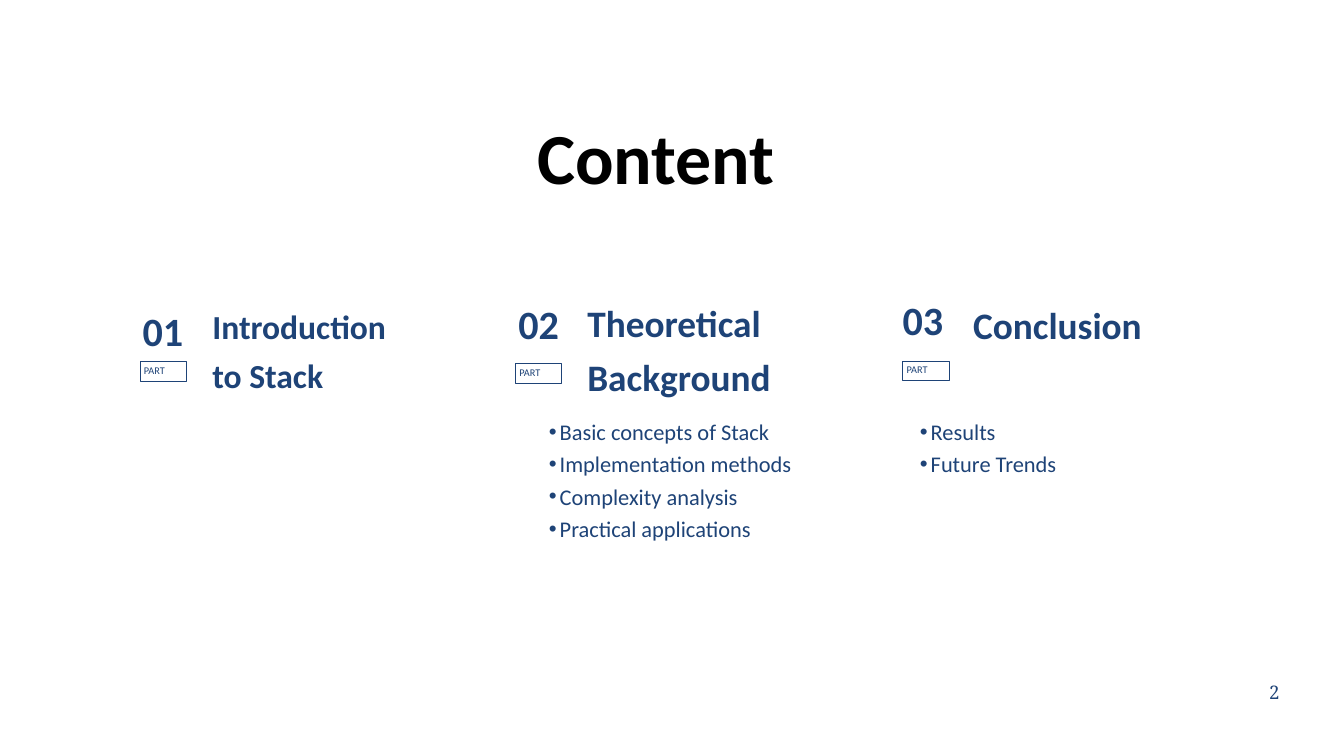
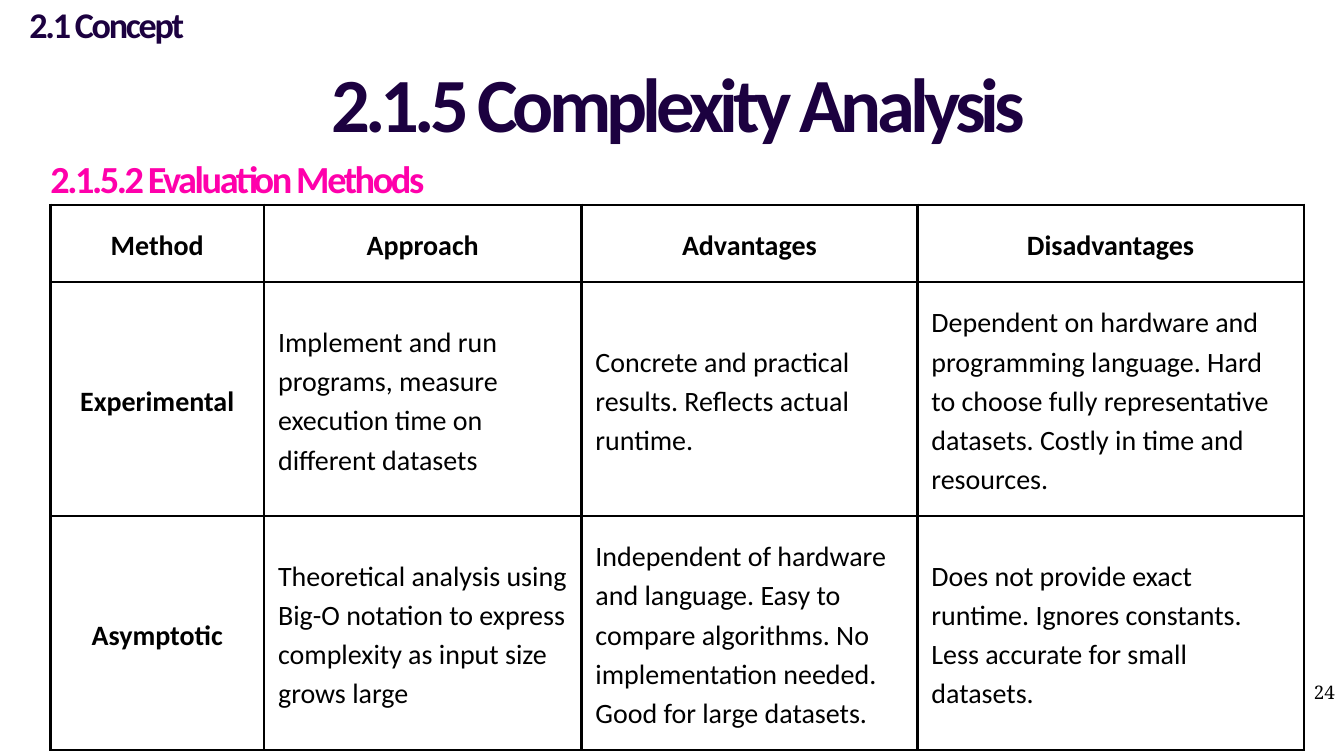
"""Builds the contents slide and the evaluation methods slide of the Stack deck."""
from lxml import etree
from pptx import Presentation, util as u
from pptx.dml.color import RGBColor
from pptx.enum import shapes, text
from pptx.oxml.ns import qn

HUE = {"navy": "1E4377", "ink": "1C0140", "pink": "FF00AB", "black": "000000"}
LEFT, MID, JUST = text.PP_ALIGN.LEFT, text.PP_ALIGN.CENTER, text.PP_ALIGN.JUSTIFY


def write(frame, words, size, hue, lead, align=LEFT, bold=False, face="Calibri", track=0, dots=False):
    frame.word_wrap = True
    frame.text = words
    for para in frame.paragraphs:
        para.alignment = align
        para.line_spacing = u.Pt(lead)
        if dots:
            para.level = 1
            props = para._p.get_or_add_pPr()
            props.set("marL", str(u.Pt(23)))
            props.set("indent", str(u.Pt(-11.5)))
            etree.SubElement(props, qn("a:buFont")).set("typeface", "Arial")
            etree.SubElement(props, qn("a:buChar")).set("char", "•")
        for run in para.runs:
            run.font.size = u.Pt(size)
            run.font.name = face
            run.font.bold = bold
            run.font.color.rgb = RGBColor.from_string(HUE[hue])
            if track:
                run._r.get_or_add_rPr().set("spc", str(round(track * 100)))


def label(slide, place, words, size, hue, lead, **style):
    frame = slide.shapes.add_textbox(*map(u.Pt, place)).text_frame
    frame.margin_left = frame.margin_right = frame.margin_top = frame.margin_bottom = 0
    write(frame, words, size, hue, lead, **style)
    return frame


deck = Presentation()
deck.slide_width, deck.slide_height = u.Pt(1440), u.Pt(810)
blank = deck.slide_layouts[6]

menu = deck.slides.add_slide(blank)
title = label(menu, (311.8, 5.8, 782, 306.7), "Content", 77, "black", 107.8, align=MID, bold=True)
title.vertical_anchor = text.MSO_ANCHOR.MIDDLE

parts = [
    ("01", (118.8, 328.3), (149.8, 387.4),
     "Introduction to Stack", (227.5, 319.7, 206, 105.8), 36, 51.8),
    ("02", (521.3, 320.4), (552.2, 389.5),
     "Theoretical Background", (629.3, 311.8, 287.3, 117.4), 40, 57.6),
    ("03", (933.1, 316.8), (967, 386.6),
     "Conclusion", (1042.6, 313.9, 242, 60.5), 40, 57.6),
]
for num, spot, corner, name, place, size, lead in parts:
    label(menu, place, name, size, "navy", lead, bold=True)
    label(menu, (*spot, 111.6, 64.8), num, 43, "navy", 51.6, align=MID, bold=True, track=0.01)
    badge = menu.shapes.add_shape(shapes.MSO_SHAPE.RECTANGLE, *map(u.Pt, (*corner, 49.7, 20.9)))
    badge.shadow.inherit = False
    badge.fill.background()
    badge.line.color.rgb = RGBColor.from_string(HUE["navy"])
    badge.line.width = u.Pt(0.5)
    frame = badge.text_frame
    frame.vertical_anchor = text.MSO_ANCHOR.TOP
    frame.margin_left = frame.margin_right = u.Pt(4.3)
    frame.margin_top = frame.margin_bottom = u.Pt(3)
    write(frame, "PART", 11, "navy", 13.2, align=JUST)

topics = [
    ((576.7, 442.1, 312.5, 243.4),
     ["Basic concepts of Stack", "Implementation methods", "Complexity analysis", "Practical applications"]),
    ((974.2, 442.1, 329.8, 105.1), ["Results", "Future Trends"]),
]
for place, items in topics:
    label(menu, place, "\n".join(items), 24, "navy", 34.6, dots=True)

study = deck.slides.add_slide(blank)
rows = [
    ["Method", "Approach", "Advantages", "Disadvantages"],
    ["Experimental",
     "Implement and run programs, measure execution time on different datasets",
     "Concrete and practical results. Reflects actual runtime.",
     "Dependent on hardware and programming language. Hard to choose fully representative datasets. "
     "Costly in time and resources."],
    ["Asymptotic",
     "Theoretical analysis using Big-O notation to express complexity as input size grows large",
     "Independent of hardware and language. Easy to compare algorithms. No implementation needed. "
     "Good for large datasets.",
     "Does not provide exact runtime. Ignores constants. Less accurate for small datasets."],
]
grid = study.shapes.add_table(3, 4, *map(u.Pt, (54, 219.6, 1343, 583.8))).table
grid.first_row = grid.horz_banding = False
for col, width in zip(grid.columns, (229, 340, 360, 414)):
    col.width = u.Pt(width)
for row, height in zip(grid.rows, (82.8, 250.5, 250.5)):
    row.height = u.Pt(height)
for r, row in enumerate(rows):
    for c, words in enumerate(row):
        cell = grid.cell(r, c)
        cell.vertical_anchor = text.MSO_ANCHOR.MIDDLE
        cell.margin_left = cell.margin_right = cell.margin_top = cell.margin_bottom = u.Pt(15)
        head = r == 0 or c == 0
        write(cell.text_frame, words, 30, "black", 42, align=MID if head else LEFT, bold=head)
        props = cell._tc.get_or_add_tcPr()
        for side in ("lnL", "lnR", "lnT", "lnB"):
            edge = etree.SubElement(props, qn("a:" + side), w=str(u.Pt(3)))
            paint = etree.SubElement(edge, qn("a:solidFill"))
            etree.SubElement(paint, qn("a:srgbClr"), val=HUE["black"])
        cell.fill.background()

heads = [
    ((-20.2, -5, 269.3, 58.3), "2.1 Concept", 38.7, "ink", 54.2, MID, -2.4),
    ((80.6, 43.2, 1292.4, 123.8), "2.1.5 Complexity Analysis", 82.1, "ink", 114.9, MID, -5.2),
    ((54, 158.4, 904.3, 61.2), "2.1.5.2 Evaluation Methods", 41, "pink", 57.4, LEFT, -2.6),
]
for place, words, size, hue, lead, align, track in heads:
    label(study, place, words, size, hue, lead, align=align, bold=True, track=track)

for slide, page, hue, left in ((menu, "2", "navy", 1347.5), (study, "24", "black", 1401)):
    label(slide, (left, 725, 36, 28), page, 20, hue, 28, align=MID, face="Noto Serif")

deck.save("out.pptx")
